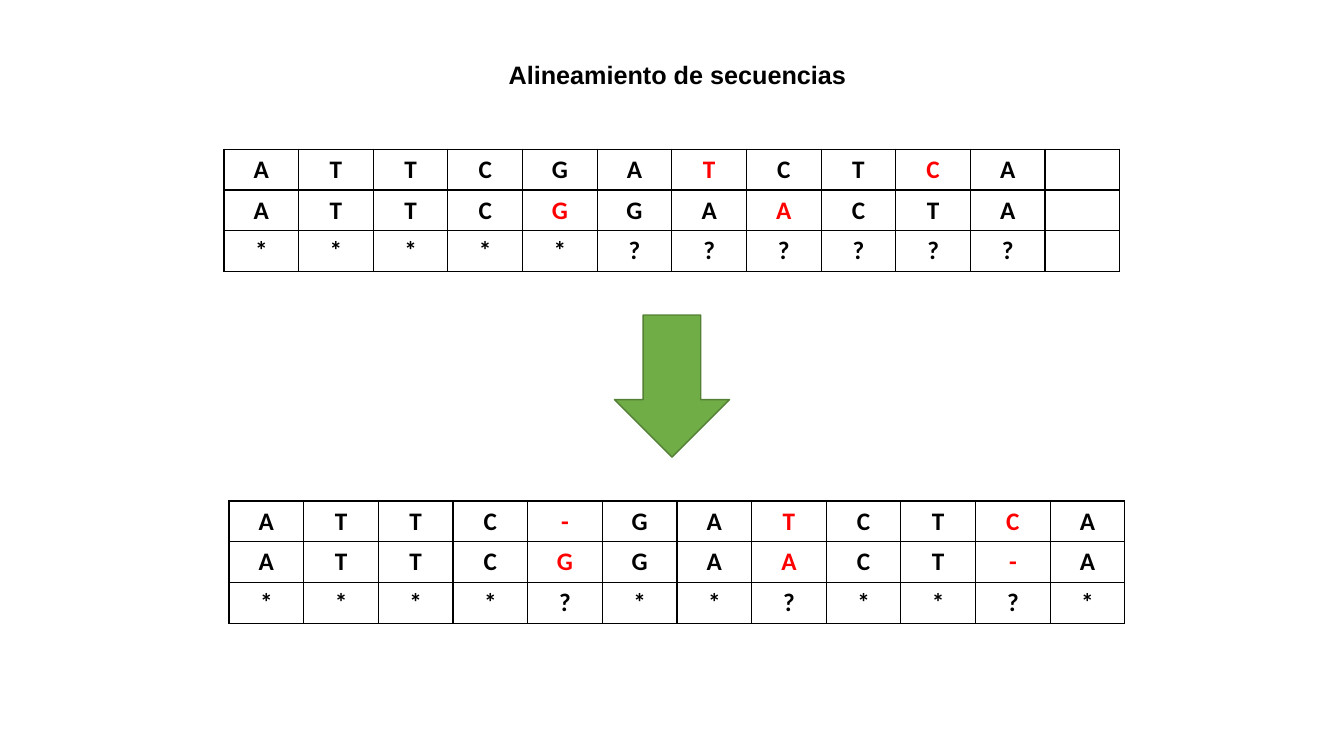
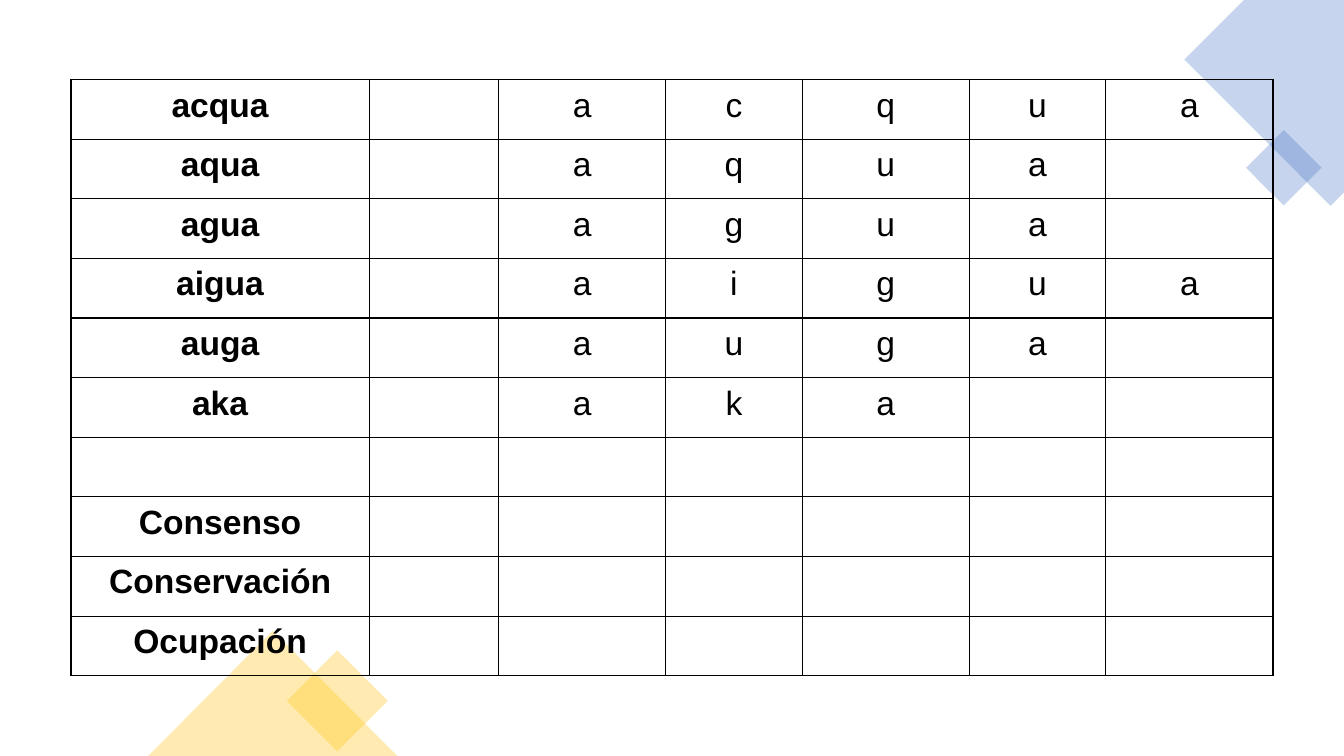
from dataclasses import dataclass
from typing import Any

from lxml.etree import SubElement
from pptx import Presentation
from pptx.dml.color import RGBColor
from pptx.enum.shapes import MSO_SHAPE
from pptx.enum.text import MSO_ANCHOR, MSO_AUTO_SIZE, PP_ALIGN
from pptx.oxml.ns import qn
from pptx.shapes.autoshape import Shape
from pptx.slide import Slide
from pptx.text.text import TextFrame
from pptx.util import Inches, Pt

CENTER = PP_ALIGN.CENTER
TOP = MSO_ANCHOR.TOP
FIT_SHAPE = MSO_AUTO_SIZE.SHAPE_TO_FIT_TEXT
RECTANGLE = MSO_SHAPE.RECTANGLE
TRIANGLE = MSO_SHAPE.ISOSCELES_TRIANGLE
DOWN_ARROW = MSO_SHAPE.DOWN_ARROW
BLANK_LAYOUT = 6
NO_STYLE = "{2D5ABB26-0587-4C30-8999-92F81FD0307C}"

# The slide is a grid of 160 by 90 square units, twelve to the inch
COLUMNS, ROWS, UNITS_PER_INCH = 160, 90, 12


@dataclass(frozen=True)
class Theme:
    ink: str = "000000"
    mismatch: str = "FF0000"
    arrow: str = "70AD47"
    arrow_edge: str = "538035"
    blue: str = "4472C4"
    gold: str = "FFC000"
    opacity: int = 30
    body: str = "Arial"
    sequence: str = "Calibri"
    small: int = 18
    large: int = 24
    rule: int = 1


THEME = Theme()


@dataclass(frozen=True)
class Box:
    left: float
    top: float
    width: float
    height: float


@dataclass(frozen=True)
class Grid:
    left: float
    top: float
    widths: tuple[float, ...]
    row_height: float
    rows: tuple[tuple[str, ...], ...]
    font: str
    size: int
    bold_columns: int
    inset: tuple[float, float]
    mismatches: frozenset[tuple[int, int]] = frozenset()


@dataclass(frozen=True)
class Ornament:
    kind: MSO_SHAPE
    box: Box
    color: str
    rotation: int = 0


def units(value: float) -> int:
    return Inches(value / UNITS_PER_INCH)


def place(box: Box) -> tuple[int, ...]:
    return tuple(units(v) for v in (box.left, box.top, box.width, box.height))


def apply(target: Any, values: dict[str, Any]) -> None:
    for name, value in values.items():
        setattr(target, name, value)


def set_insets(target: Any, side: float, end: float) -> None:
    apply(target, {
        "margin_left": units(side), "margin_right": units(side),
        "margin_top": units(end), "margin_bottom": units(end),
    })


def write(frame: TextFrame, text: str, font: str, size: int, bold: bool, color: str) -> None:
    paragraph = frame.paragraphs[0]
    paragraph.alignment = CENTER
    run = paragraph.add_run()
    run.text = text
    apply(run.font, {"name": font, "size": Pt(size), "bold": bold})
    run.font.color.rgb = RGBColor.from_string(color)


def paint(shape: Shape, color: str, opacity: int = 100, edge: str = "") -> None:
    shape.shadow.inherit = False
    shape.fill.solid()
    shape.fill.fore_color.rgb = RGBColor.from_string(color)
    if opacity < 100:
        tint = shape.element.spPr.find(qn("a:solidFill")).find(qn("a:srgbClr"))
        SubElement(tint, qn("a:alpha"), val=str(opacity * 1000))
    if edge:
        shape.line.color.rgb = RGBColor.from_string(edge)
        shape.line.width = Pt(THEME.rule)
    else:
        shape.line.fill.background()


def draw_ornament(slide: Slide, ornament: Ornament) -> None:
    shape = slide.shapes.add_shape(ornament.kind, *place(ornament.box))
    shape.rotation = ornament.rotation
    paint(shape, ornament.color, THEME.opacity)


def draw_borders(cell_element: Any) -> None:
    properties = cell_element.get_or_add_tcPr()
    for side in ("a:lnL", "a:lnR", "a:lnT", "a:lnB"):
        line = SubElement(properties, qn(side), w=str(Pt(THEME.rule)))
        fill = SubElement(line, qn("a:solidFill"))
        SubElement(fill, qn("a:srgbClr"), val=THEME.ink)


def draw_grid(slide: Slide, grid: Grid) -> None:
    box = Box(grid.left, grid.top, sum(grid.widths), grid.row_height * len(grid.rows))
    frame = slide.shapes.add_table(len(grid.rows), len(grid.widths), *place(box))
    table = frame.table
    apply(table, {"first_row": False, "horz_banding": False})
    next(frame.element.iter(qn("a:tableStyleId"))).text = NO_STYLE
    for column, width in zip(table.columns, grid.widths):
        column.width = units(width)
    for row in table.rows:
        row.height = units(grid.row_height)
    for cell_element in frame.element.iter(qn("a:tc")):
        draw_borders(cell_element)
    for r, words in enumerate(grid.rows):
        for c, word in enumerate(words):
            cell = table.cell(r, c)
            cell.fill.background()
            cell.vertical_anchor = TOP
            set_insets(cell, *grid.inset)
            if word.strip():
                color = THEME.mismatch if (r, c) in grid.mismatches else THEME.ink
                write(cell.text_frame, word, grid.font, grid.size,
                      c < grid.bold_columns, color)


# Slide 1: two sequences before and after alignment
BASES = 12
BASE_WIDTH = 8.89


def sequence_grid(left: float, top: float, lines: tuple[str, ...],
                  mismatches: set[tuple[int, int]]) -> Grid:
    return Grid(left, top, (BASE_WIDTH,) * BASES, 4.86,
                tuple(tuple(line.ljust(BASES)) for line in lines),
                THEME.sequence, THEME.small, BASES, (1.2, 0.6), frozenset(mismatches))


UNALIGNED = sequence_grid(
    (COLUMNS - BASES * BASE_WIDTH) / 2, 17.77,
    ("ATTCGATCTCA", "ATTCGGAACTA", "*****??????"),
    {(0, 6), (0, 9), (1, 4), (1, 7)})
ALIGNED = sequence_grid(
    27.27, 59.65,
    ("ATTC-GATCTCA", "ATTCGGAACT-A", "****?**?**?*"),
    {(0, 4), (0, 7), (0, 10), (1, 4), (1, 7), (1, 10)})
TITLE = Box(44.9, 6.5, 71.5, 4.85)
ARROW = Box(73.15, 37.5, 13.7, 16.92)

# Slide 2: words for water, one letter to a cell
WATER_WORDS = ("acqua", "aqua", "agua", "aigua", "auga", "aka")
SUMMARY_ROWS = ("", "Consenso", "Conservación", "Ocupación")
LETTERS = max(len(word) for word in WATER_WORDS)
WATER = Grid(
    8.45, 9.48, (35.5, 15.4, 19.9, 16.25, 19.9, 16.25, 19.9), 7.1,
    tuple((word, "", *word.ljust(LETTERS)) for word in WATER_WORDS)
    + tuple((label, "", *" " * LETTERS) for label in SUMMARY_ROWS),
    THEME.body, THEME.large, 1, (1.56, 0.84))
BLUE_CORNER = ((COLUMNS, 0), (148.1, 0), (141, 7.1), (158.4, 24.5), (COLUMNS, 22.9))
ORNAMENTS = (
    Ornament(RECTANGLE, Box(149.65, 16.8, 6.36, 6.36), THEME.blue, 45),
    Ornament(RECTANGLE, Box(35.9, 79.2, 8.5, 8.5), THEME.gold, 45),
    Ornament(TRIANGLE, Box(17.65, 75.1, 29.65, ROWS - 75.1), THEME.gold),
)


def build_alignment(slide: Slide) -> None:
    for grid in (UNALIGNED, ALIGNED):
        draw_grid(slide, grid)
    title = slide.shapes.add_textbox(*place(TITLE)).text_frame
    apply(title, {"word_wrap": True, "auto_size": FIT_SHAPE})
    write(title, "Alineamiento de secuencias", THEME.body, THEME.small, True, THEME.ink)
    arrow = slide.shapes.add_shape(DOWN_ARROW, *place(ARROW))
    paint(arrow, THEME.arrow, edge=THEME.arrow_edge)


def build_water(slide: Slide) -> None:
    start, *corners = [(units(x), units(y)) for x, y in BLUE_CORNER]
    outline = slide.shapes.build_freeform(*start)
    outline.add_line_segments(corners, close=True)
    paint(outline.convert_to_shape(), THEME.blue, THEME.opacity)
    for ornament in ORNAMENTS:
        draw_ornament(slide, ornament)
    draw_grid(slide, WATER)


def main() -> None:
    deck = Presentation()
    apply(deck, {"slide_width": units(COLUMNS), "slide_height": units(ROWS)})
    for build in (build_alignment, build_water):
        build(deck.slides.add_slide(deck.slide_layouts[BLANK_LAYOUT]))
    deck.save("out.pptx")


if __name__ == "__main__":
    main()
